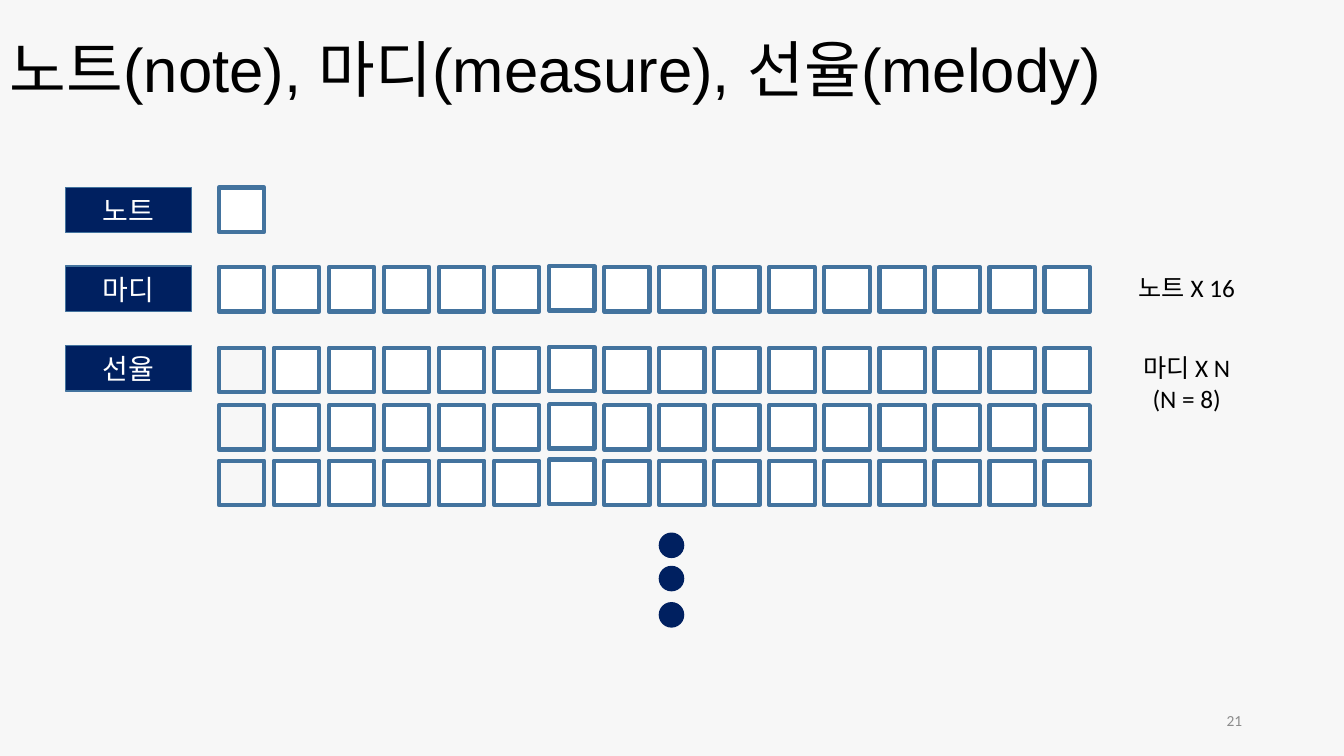
from dataclasses import dataclass

import pptx
import pptx.dml.color
import pptx.enum.shapes
import pptx.enum.text
import pptx.util

Inches = pptx.util.Inches
Shape = pptx.enum.shapes.MSO_SHAPE
Align = pptx.enum.text.PP_ALIGN
Anchor = pptx.enum.text.MSO_ANCHOR


@dataclass
class Theme:
    background: str = "F7F7F7"
    navy: str = "002060"
    outline: str = "43739E"
    white: str = "FFFFFF"
    black: str = "000000"
    gray: str = "8C8C8C"
    title_font: str = "Arial"
    body_font: str = "Calibri"
    title_size: int = 44
    label_size: int = 20
    caption_size: int = 18
    number_size: int = 11


def rgb(code):
    return pptx.dml.color.RGBColor.from_string(code)


def write_text(frame, text, *, size, color, font, align=Align.LEFT,
               anchor=Anchor.TOP, line_spacing=None):
    frame.word_wrap = True
    frame.vertical_anchor = anchor
    for index, line in enumerate(text.split("\n")):
        para = frame.add_paragraph() if index else frame.paragraphs[0]
        para.alignment = align
        para.line_spacing = line_spacing
        span = para.add_run()
        span.text = line
        span.font.size = pptx.util.Pt(size)
        span.font.name = font
        span.font.color.rgb = rgb(color)


class MelodySlide:
    square_width, square_height = 0.45, 0.44
    first_left, square_pitch = 2.17, 0.546
    measure_length, raised_index = 16, 6

    def __init__(self, deck, theme):
        self.theme = theme
        self.page = deck.slides.add_slide(deck.slide_layouts[6])
        backdrop = self.page.background.fill
        backdrop.solid()
        backdrop.fore_color.rgb = rgb(theme.background)

    def text(self, text, left, top, width, height, **style):
        box = self.page.shapes.add_textbox(
            Inches(left), Inches(top), Inches(width), Inches(height))
        write_text(box.text_frame, text, **style)

    def shape(self, kind, left, top, width, height, *, fill, line, weight):
        shape = self.page.shapes.add_shape(
            kind, Inches(left), Inches(top), Inches(width), Inches(height))
        shape.shadow.inherit = False
        if fill:
            shape.fill.solid()
            shape.fill.fore_color.rgb = rgb(fill)
        else:
            shape.fill.background()
        shape.line.color.rgb = rgb(line)
        shape.line.width = pptx.util.Pt(weight)
        return shape

    def label(self, text, top):
        theme = self.theme
        box = self.shape(Shape.RECTANGLE, 0.65, top, 1.25, 0.45,
                         fill=theme.navy, line=theme.outline, weight=1)
        write_text(box.text_frame, text, size=theme.label_size,
                   color=theme.white, font=theme.body_font,
                   align=Align.CENTER, anchor=Anchor.MIDDLE)

    def square(self, left, top, fill):
        self.shape(Shape.RECTANGLE, left, top, self.square_width,
                   self.square_height, fill=fill, line=self.theme.outline, weight=3)

    def measure(self, top, first_fill):
        for index in range(self.measure_length):
            left = self.first_left + index * self.square_pitch
            lift = 0.01 if index == self.raised_index else 0
            self.square(left, top - lift, self.theme.white if index else first_fill)

    def dot(self, top):
        self.shape(Shape.OVAL, 6.54, top, 0.24, 0.24,
                   fill=self.theme.navy, line=self.theme.navy, weight=1)

    def caption(self, text, top, height):
        self.text(text, 11.11, top, 1.32, height, size=self.theme.caption_size,
                  color=self.theme.black, font=self.theme.body_font,
                  align=Align.CENTER)


def main():
    deck = pptx.Presentation()
    deck.slide_width, deck.slide_height = Inches(13.33), Inches(7.5)
    theme = Theme()
    slide = MelodySlide(deck, theme)

    slide.text("노트(note), 마디(measure), 선율(melody)", 0, -0.01, 11.5, 1.45,
               size=theme.title_size, color=theme.black, font=theme.title_font,
               anchor=Anchor.MIDDLE, line_spacing=0.9)
    slide.text("21", 9.42, 6.95, 3, 0.4, size=theme.number_size,
               color=theme.gray, font=theme.body_font,
               align=Align.RIGHT, anchor=Anchor.MIDDLE)

    for name, top in (("노트", 1.86), ("마디", 2.64), ("선율", 3.43)):
        slide.label(name, top)

    slide.square(slide.first_left, 1.86, theme.white)
    slide.measure(2.65, theme.white)
    for top in (3.45, 4.02, 4.57):
        slide.measure(top, None)
    for top in (5.29, 5.62, 5.98):
        slide.dot(top)

    slide.caption("노트 X 16", 2.65, 0.4)
    slide.caption("마디 X N\n(N = 8)", 3.45, 0.71)

    deck.save("out.pptx")


if __name__ == "__main__":
    main()
